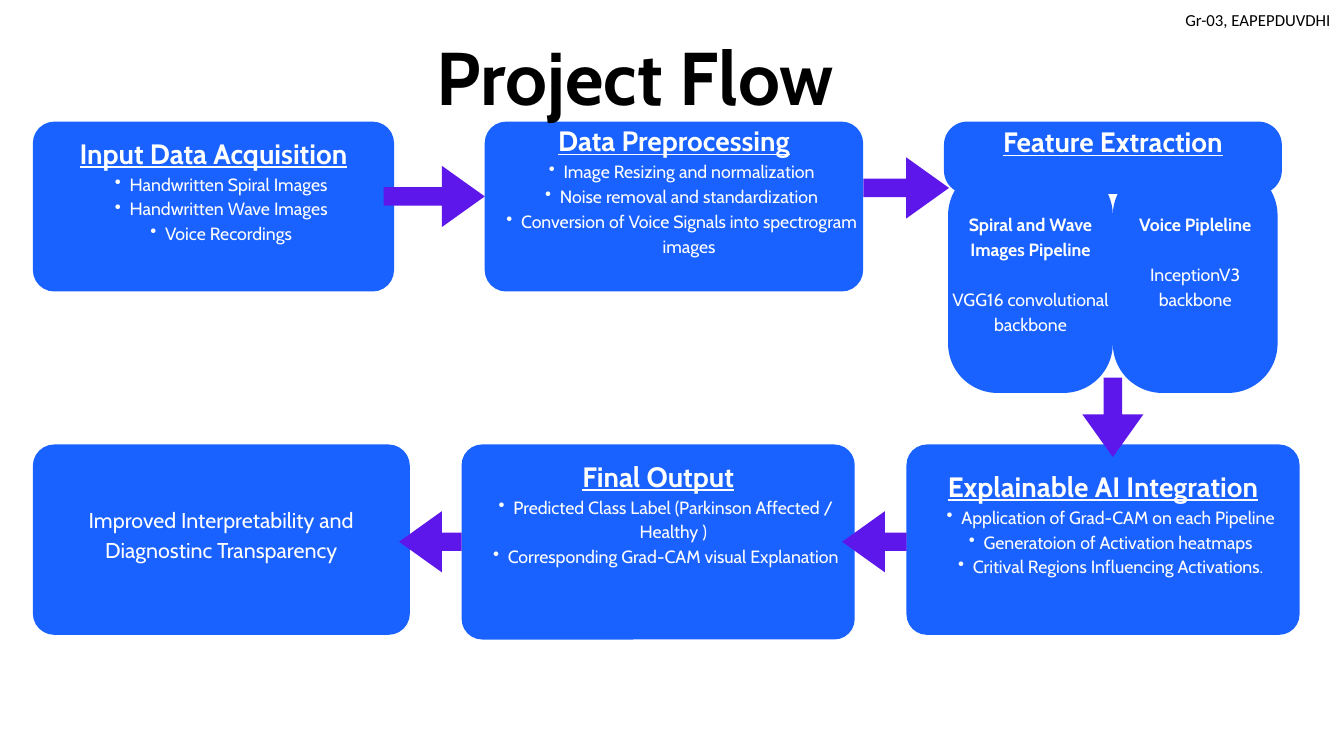
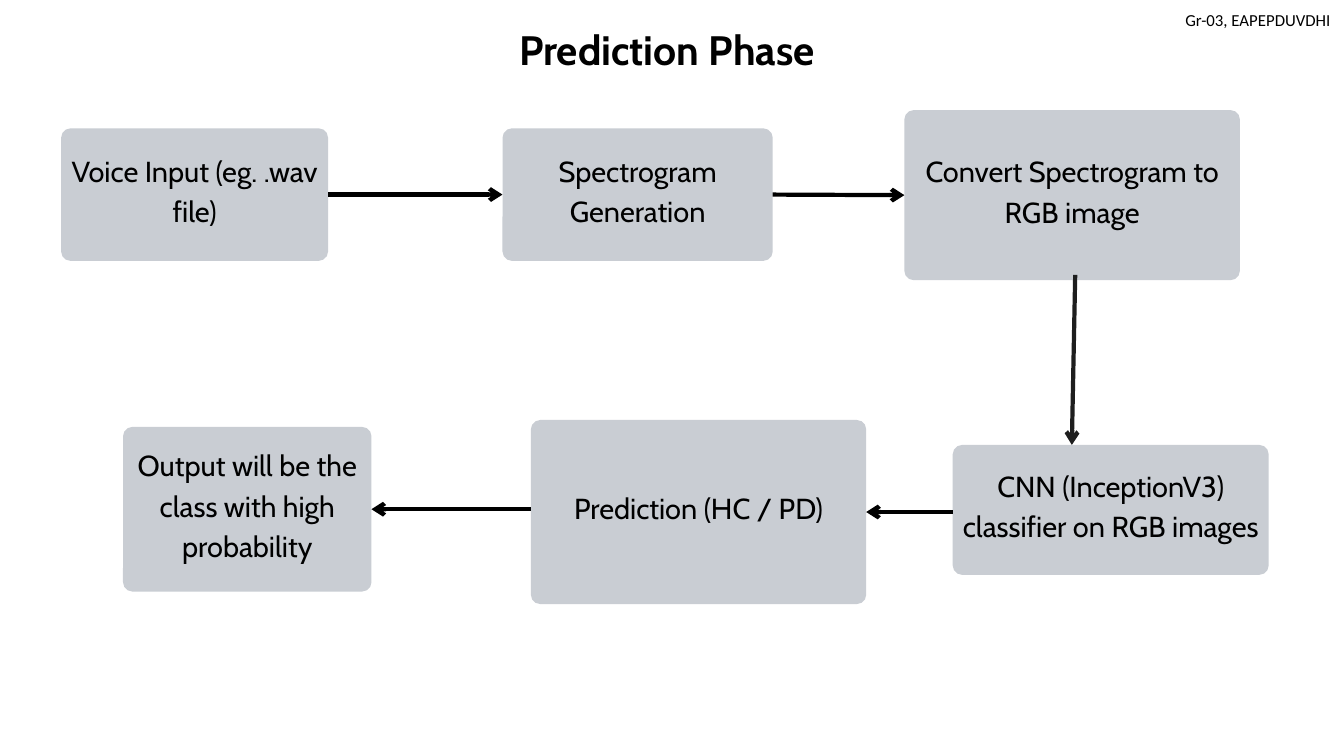
"""Build two flow slides: the project flow and the prediction phase."""
import dataclasses

import lxml.etree
import pptx
import pptx.dml.color
import pptx.enum.shapes
import pptx.enum.text
import pptx.oxml.ns
import pptx.util

Pt = pptx.util.Pt
Shape = pptx.enum.shapes.MSO_SHAPE
Align = pptx.enum.text.PP_ALIGN
Anchor = pptx.enum.text.MSO_ANCHOR
qn = pptx.oxml.ns.qn


@dataclasses.dataclass(frozen=True)
class Theme:
    font: str = "Cabin"
    tag_font: str = "Calibri"
    black: str = "000000"
    white: str = "FFFFFF"
    ink: str = "1E1E1E"
    blue: str = "1A62FF"
    violet: str = "5E17EB"
    grey: str = "C9CDD3"
    flow_title: int = 80
    phase_title: int = 44
    head: int = 30
    body: int = 19
    result: int = 23
    step: int = 31
    tag: int = 18
    lead: float = 1.4
    inset: float = 4.3
    lift: float = 14.2


theme = Theme()


def write(frame, text, size, color=theme.white, font=theme.font, bold=False,
          under=False, bullet=False, align=Align.CENTER, lead=theme.lead, gap=0):
    """Add one paragraph to a frame, filling the first when it is empty."""
    first = frame.paragraphs[0]
    para = frame.add_paragraph() if first.text else first
    if bullet:
        props = para._p.get_or_add_pPr()
        props.set("marL", str(Pt(32.4)))
        props.set("indent", str(-Pt(15.8)))
        lxml.etree.SubElement(props, qn("a:buChar"), char="•")
    para.alignment = align
    if lead:
        para.line_spacing = Pt(size * lead)
    if gap:
        para.space_before = Pt(gap)
    run = para.add_run()
    run.text = text
    run.font.name = font
    run.font.size = Pt(size)
    run.font.bold = bold
    run.font.underline = under
    run.font.color.rgb = pptx.dml.color.RGBColor.from_string(color)


def draw(slide, kind, place, color, adjust):
    """Draw a plain filled shape."""
    shape = slide.shapes.add_shape(kind, *map(Pt, place))
    shape.shadow.inherit = False
    shape.fill.solid()
    shape.fill.fore_color.rgb = pptx.dml.color.RGBColor.from_string(color)
    shape.line.fill.background()
    for index, value in enumerate(adjust):
        shape.adjustments[index] = value
    return shape


deck = pptx.Presentation()
deck.slide_width, deck.slide_height = Pt(1440), Pt(810)
layout = deck.slide_layouts[5]
flow, phase = [deck.slides.add_slide(layout) for _ in range(2)]

tag = flow.shapes.add_textbox(Pt(1263), Pt(7.2), Pt(174), Pt(29))
write(tag.text_frame, "Gr-03, EAPEPDUVDHI", theme.tag, theme.black,
      theme.tag_font, align=Align.LEFT, lead=None)
layout.shapes.element.append(tag.element)

titles = [
    (flow, "Project Flow", (311.8, 0.7, 738, 119), theme.flow_title, 1.61),
    (phase, "Prediction Phase", (527.8, 17.3, 373.7, 60), theme.phase_title, 1.4),
]
for slide, text, place, size, lead in titles:
    title = slide.shapes.title
    title.left, title.top, title.width, title.height = map(Pt, place)
    frame = title.text_frame
    frame.auto_size = pptx.enum.text.MSO_AUTO_SIZE.NONE
    frame.vertical_anchor = Anchor.TOP
    frame.margin_left = frame.margin_right = 0
    frame.margin_top = frame.margin_bottom = 0
    write(frame, text, size, theme.black, bold=True, lead=lead)

head = dict(size=theme.head, bold=True, under=True)
point = dict(size=theme.body, bullet=True)
pipe = dict(size=theme.body, bold=True)
plain = dict(size=theme.body)
row = theme.body * theme.lead
after = dict(size=theme.body, gap=row)
cards = [
    ((35.2, 130.3, 387, 182), 23, row, [
        ("Input Data Acquisition", head),
        ("Handwritten Spiral Images", point),
        ("Handwritten Wave Images", point),
        ("Voice Recordings", point)]),
    ((519.3, 130.3, 405.5, 182), 23, row, [
        ("Data Preprocessing", head),
        ("Image Resizing and normalization", point),
        ("Noise removal and standardization", point),
        ("Conversion of Voice Signals into spectrogram images", point)]),
    ((1011.4, 130.3, 362, 77.5), 25, row, [("Feature Extraction", head)]),
    ((1015.8, 177.7, 176.5, 243.3), 53, 0, [
        ("Spiral and Wave Images Pipeline", pipe),
        ("VGG16 convolutional backbone", after)]),
    ((1192.3, 177.7, 176.5, 243.3), 53, row, [
        ("Voice Pipleline", pipe),
        ("InceptionV3", after),
        ("backbone", plain)]),
    ((971.2, 476.2, 421.2, 204), 22, row, [
        ("Explainable AI Integration", head),
        ("Application of Grad-CAM on each Pipeline", point),
        ("Generatoion of Activation heatmaps", point),
        ("Critival Regions Influencing Activations.", point)]),
    ((494.6, 476.2, 421.2, 209), 22, 2 * row, [
        ("Final Output", head),
        ("Predicted Class Label (Parkinson Affected / Healthy )", point),
        ("Corresponding Grad-CAM visual Explanation", point)]),
    ((35.2, 476.2, 404, 204), 23, 0, [
        ("Improved Interpretability and Diagnostinc Transparency",
         dict(size=theme.result))]),
]
for place, curve, pad, lines in cards:
    left, top, width, height = place
    draw(flow, Shape.ROUNDED_RECTANGLE, place, theme.blue,
         [curve / min(width, height)])
    label = flow.shapes.add_textbox(
        Pt(left), Pt(top - theme.lift), Pt(width), Pt(height + theme.lift))
    frame = label.text_frame
    frame.word_wrap = True
    frame.vertical_anchor = Anchor.MIDDLE
    frame.margin_left = frame.margin_right = frame.margin_top = Pt(theme.inset)
    frame.margin_bottom = Pt(theme.inset + pad)
    for text, style in lines:
        write(frame, text, **style)

arrows = [
    (Shape.RIGHT_ARROW, (411, 177.7, 108.4, 65.5)),
    (Shape.RIGHT_ARROW, (925, 168.6, 91.8, 65.5)),
    (Shape.DOWN_ARROW, (1159.6, 404.7, 65.5, 85)),
    (Shape.LEFT_ARROW, (902.3, 547.7, 69, 65.5)),
    (Shape.LEFT_ARROW, (427.6, 547.7, 67, 65.5)),
]
for kind, place in arrows:
    draw(flow, kind, place, theme.violet, [0.3, 0.7])
flow.shapes.element.append(flow.shapes.title.element)

steps = {
    "voice": ("Voice Input (eg. .wav file)", (65.5, 137.5, 286, 142)),
    "spectrum": ("Spectrogram Generation", (538.4, 137.5, 289.5, 142)),
    "convert": ("Convert Spectrogram to RGB image", (969, 118, 359.5, 182.2)),
    "network": ("CNN (InceptionV3) classifier on RGB images",
                (1020.8, 476.7, 338.5, 139.2)),
    "predict": ("Prediction (HC / PD)", (568.8, 450, 359.3, 197.2)),
    "output": ("Output will be the class with high probability",
               (131.8, 457.4, 266.2, 176.4)),
}
boxes = {}
curve = 10
for name, (text, place) in steps.items():
    box = draw(phase, Shape.ROUNDED_RECTANGLE, place, theme.grey,
               [curve / min(place[2:])])
    frame = box.text_frame
    frame.word_wrap = True
    frame.vertical_anchor = Anchor.MIDDLE
    side = theme.inset - 0.29 * curve
    frame.margin_left = frame.margin_right = frame.margin_top = Pt(side)
    frame.margin_bottom = Pt(side + theme.lift)
    write(frame, text, theme.step, theme.black)
    boxes[name] = box

links = [
    ((1152, 294.5, 1148.4, 476.7), None, None, theme.ink),
    ((351.5, 208.5, 538.4, 208.5), ("voice", 3), ("spectrum", 1), theme.black),
    ((827.9, 208.5, 969, 209.1), ("spectrum", 3), ("convert", 1), theme.black),
    ((568.8, 545.6, 398, 545.6), None, ("output", 3), theme.black),
    ((1020.8, 548.6, 928.1, 548.6), None, ("predict", 3), theme.black),
]
for ends, start, stop, color in links:
    link = phase.shapes.add_connector(
        pptx.enum.shapes.MSO_CONNECTOR.STRAIGHT, *map(Pt, ends))
    if start:
        link.begin_connect(boxes[start[0]], start[1])
    if stop:
        link.end_connect(boxes[stop[0]], stop[1])
    link.line.width = Pt(4.5)
    link.line.color.rgb = pptx.dml.color.RGBColor.from_string(color)
    props = link.element.spPr
    lxml.etree.SubElement(props.find(qn("a:ln")), qn("a:tailEnd"), type="arrow")
    lxml.etree.SubElement(props, qn("a:effectLst"))

deck.save("out.pptx")
